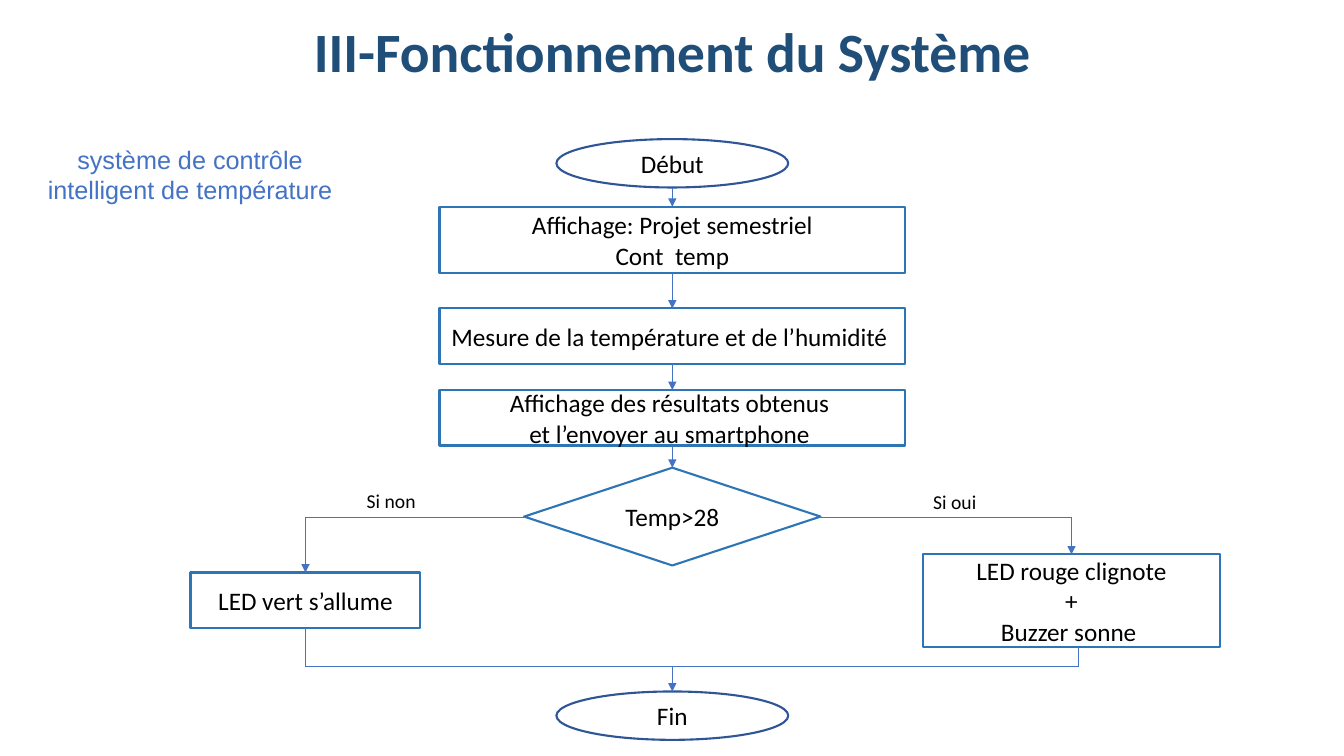
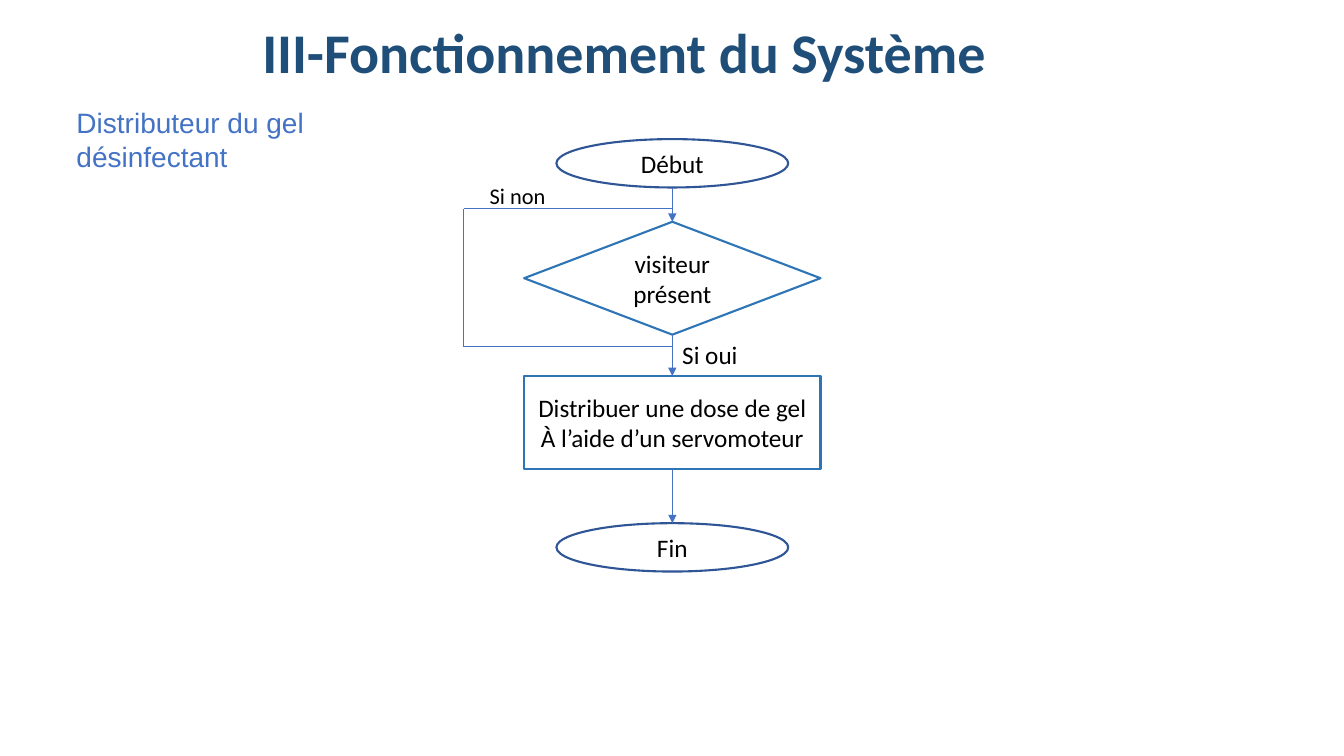
"""Two flowcharts: temperature control and gel dispenser."""
from itertools import pairwise

from lxml import etree
from pptx import Presentation
from pptx import util as u
from pptx.dml.color import RGBColor
from pptx.enum import shapes, text
from pptx.oxml.ns import qn

PX = 9144
AXIS = 667
HEX = {"title": "1F4E79", "oval": "2F5597", "box": "2E75B6",
       "link": "4472C4", "ink": "000000", "paper": "FFFFFF"}
KIND = shapes.MSO_SHAPE
ALIGN = text.PP_ALIGN
TITLE = "III-Fonctionnement du Système"


def rgb(name):
    return RGBColor.from_string(HEX[name])


def px(*vals):
    return [u.Emu(v * PX) for v in vals]


def write(frame, words, size=18, font="Calibri", color="ink", bold=False,
          align=ALIGN.CENTER, anchor=text.MSO_ANCHOR.MIDDLE):
    frame.word_wrap = True
    frame.auto_size = text.MSO_AUTO_SIZE.NONE
    frame.vertical_anchor = anchor
    frame.text = words
    for para in frame.paragraphs:
        para.alignment = align
        para.line_spacing = 1.0
        para.font.size = u.Pt(size)
        para.font.name = font
        para.font.bold = bold
        para.font.color.rgb = rgb(color)


def start(deck, left, top, width, size):
    slide = deck.slides.add_slide(deck.slide_layouts[5])
    head = slide.shapes.title
    head.left, head.top, head.width, head.height = px(left, top, width, 77)
    write(head.text_frame, TITLE, size=size, color="title", bold=True)
    return slide


def label(slide, words, left, top, width, height, **form):
    form = {"align": ALIGN.LEFT, "anchor": text.MSO_ANCHOR.TOP} | form
    box = slide.shapes.add_textbox(*px(left, top, width, height))
    write(box.text_frame, words, **form)


def node(slide, words, top, width, height, mid=AXIS, kind=KIND.RECTANGLE,
         edge="box"):
    shape = slide.shapes.add_shape(
        kind, *px(mid - width // 2, top, width, height))
    shape.shadow.inherit = False
    shape.fill.solid()
    shape.fill.fore_color.rgb = rgb("paper")
    shape.line.color.rgb = rgb(edge)
    shape.line.width = u.Pt(1.5)
    write(shape.text_frame, words)


def oval(slide, words, top):
    node(slide, words, top, 230, 48, kind=KIND.OVAL, edge="oval")


def test(slide, words, top, height):
    node(slide, words, top, 294, height, kind=KIND.FLOWCHART_DECISION)


def link(slide, *points, arrow=True):
    for a, b in pairwise(points):
        line = slide.shapes.add_connector(
            shapes.MSO_CONNECTOR.STRAIGHT, *px(*a, *b))
        line.line.color.rgb = rgb("link")
        line.line.width = u.Pt(0.5)
        if arrow and b == points[-1]:
            etree.SubElement(line.line._get_or_add_ln(), qn("a:tailEnd"),
                             type="triangle")
        etree.SubElement(line._element.spPr, qn("a:effectLst"))


def drop(slide, *spans):
    for top, end in spans:
        link(slide, (AXIS, top), (AXIS, end))


def control(deck):
    slide = start(deck, 92, 11, 1150, 39.6)
    oval(slide, "Début", 138)
    for words, top, height in (
            ("Affichage: Projet semestriel\nCont  temp", 205, 66),
            ("Mesure de la température et de l’humidité ", 306, 55),
            ("Affichage des résultats obtenus \net l’envoyer au smartphone ",
             387, 55)):
        node(slide, words, top, 462, height)
    test(slide, "Temp>28", 464, 97)
    node(slide, "LED vert s’allume", 568, 228, 55, mid=303)
    node(slide, "LED rouge clignote\n+\nBuzzer sonne ", 550, 294, 92, mid=1063)
    oval(slide, "Fin", 686)
    drop(slide, (187, 205), (271, 306), (361, 387), (442, 464), (661, 686))
    link(slide, (520, 513), (303, 513), (303, 568))
    link(slide, (814, 513), (1063, 513), (1063, 550))
    link(slide, (303, 623), (303, 661), (1070, 661), (1070, 642), arrow=False)
    label(slide, "Si non", 354, 480, 90, 34, size=14)
    label(slide, "Si oui", 916, 481, 90, 34, size=14)
    label(slide, "système de contrôle intelligent de température",
          21, 138, 335, 101, font="Arial", color="link", align=ALIGN.CENTER)


def gel(deck):
    slide = start(deck, 157, 12, 924, 40)
    oval(slide, "Début", 138)
    test(slide, "visiteur présent", 220, 112)
    node(slide, "Distribuer une dose de gel\nÀ l’aide d’un servomoteur",
         373, 294, 92)
    oval(slide, "Fin", 519)
    drop(slide, (187, 220), (331, 373), (465, 519))
    link(slide, (AXIS, 344), (460, 344), (460, 207), (AXIS, 207), arrow=False)
    label(slide, "Si non", 476, 176, 90, 37, size=16)
    label(slide, "Si oui", AXIS, 332, 90, 40)
    label(slide, "Distributeur du gel désinfectant", 66, 100, 251, 77,
          size=20, font="Arial", color="link")


def main():
    deck = Presentation()
    deck.slide_width, deck.slide_height = u.Inches(13.333), u.Inches(7.5)
    control(deck)
    gel(deck)
    deck.save("out.pptx")


if __name__ == "__main__":
    main()
